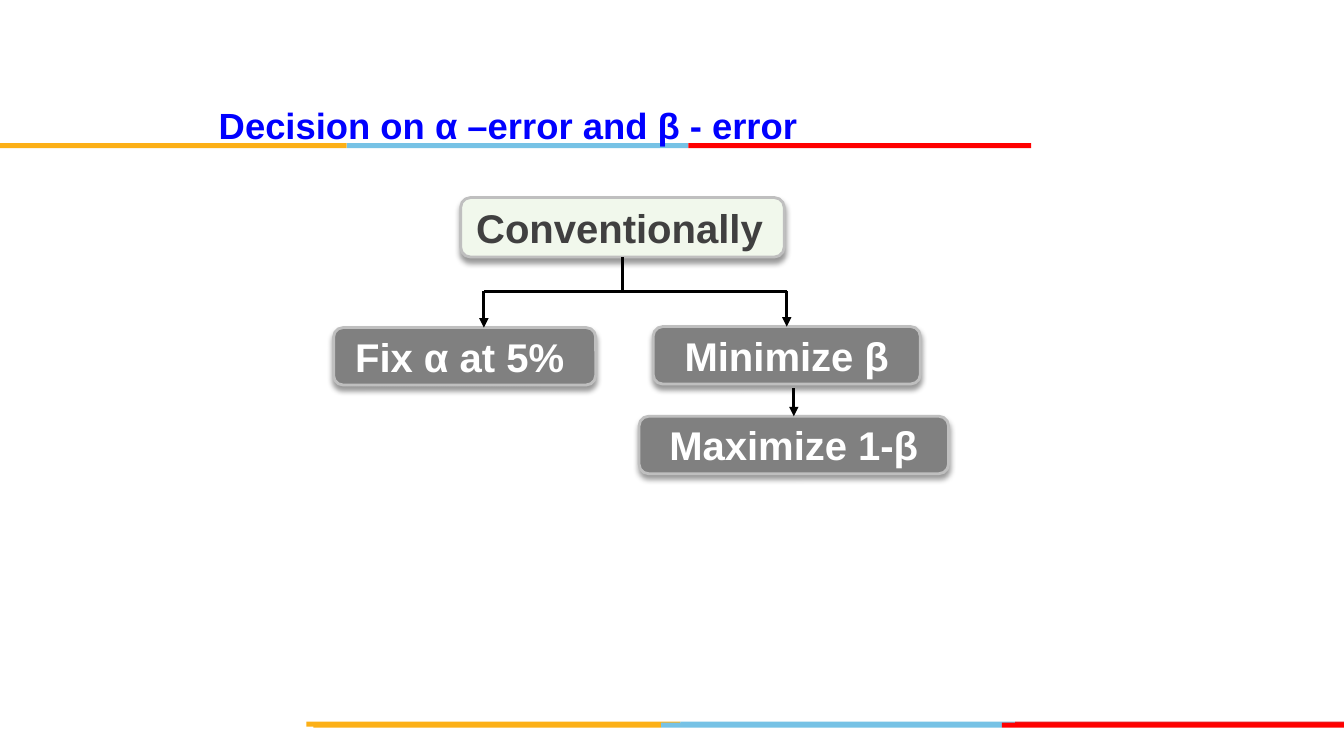
from lxml import etree
from pptx import Presentation
from pptx import util as u
from pptx.dml.color import RGBColor
from pptx.enum import shapes, text
from pptx.oxml import parse_xml
from pptx.oxml.ns import nsdecls, qn

COLORS = {
    "orange": "FCB017", "sky": "76C2E5", "red": "FF0000", "dark_red": "E31C24",
    "title": "0000FF", "pale": "F1F8EC", "gray": "808080", "border": "BFBFBF",
    "dark_text": "404040", "white": "FFFFFF", "black": "000000",
}
COLS, ROWS = 133.33, 75  # grid cells of a tenth of an inch
BOTTOM, TOP = 2, 0  # connection sites


def grid(n):
    return u.Inches(n / 10)


def rgb(name):
    return RGBColor.from_string(COLORS[name])


def write(tf, content, size, color, align=text.PP_ALIGN.CENTER):
    tf.word_wrap = True
    tf.auto_size = text.MSO_AUTO_SIZE.NONE
    tf.vertical_anchor = text.MSO_ANCHOR.MIDDLE
    p = tf.paragraphs[0]
    p.alignment = align
    r = p.add_run()
    r.text = content
    r.font.name, r.font.size, r.font.bold = "Arial", u.Pt(size), True
    r.font.color.rgb = rgb(color)


def add_stripe(s, top, edges, colors):
    """Draw one row of bars, each reaching from one edge to the next."""
    for left, right, color in zip(edges, edges[1:], colors):
        sp = s.shapes.add_shape(shapes.MSO_SHAPE.RECTANGLE, grid(left), grid(top),
                                grid(right - left), grid(0.5))
        sp.shadow.inherit = False
        sp.fill.solid()
        sp.fill.fore_color.rgb = rgb(color)
        sp.line.fill.background()


def add_title(s, content):
    title = s.shapes.title
    title.left, title.top = grid(20.7), grid(9.9)
    title.width, title.height = grid(90), grid(4.9)
    write(title.text_frame, content, 26, "title", text.PP_ALIGN.LEFT)
    title.element.getparent().append(title.element)  # in front of the stripes


def add_soft_shadow(sp):
    sp.shadow.inherit = False
    props = sp.element.spPr
    props.remove(props.find(qn("a:effectLst")))
    props.append(parse_xml(
        f'<a:effectLst {nsdecls("a")}>'
        f'<a:outerShdw blurRad="{u.Pt(4)}" dist="{u.Pt(3)}" dir="5400000" rotWithShape="0">'
        f'<a:srgbClr val="{COLORS["black"]}"><a:alpha val="40000"/></a:srgbClr>'
        '</a:outerShdw></a:effectLst>'))


def add_box(s, content, left, top, width, height=5.7, fill="gray", color="white", shift=0):
    """Draw a rounded box; shift moves its text to the left."""
    sp = s.shapes.add_shape(shapes.MSO_SHAPE.ROUNDED_RECTANGLE, grid(left), grid(top),
                            grid(width), grid(height))
    sp.fill.solid()
    sp.fill.fore_color.rgb = rgb(fill)
    sp.line.color.rgb = rgb("border")
    sp.line.width = u.Pt(2)
    add_soft_shadow(sp)
    tf = sp.text_frame
    tf.margin_left = tf.margin_top = tf.margin_bottom = 0
    tf.margin_right = grid(2 * shift)
    write(tf, content, 28.6, color)
    return sp


def center_x(sp):
    return sp.left + sp.width // 2


def add_line(s, x1, y1, x2, y2, arrow=False):
    line = s.shapes.add_connector(shapes.MSO_CONNECTOR.STRAIGHT, x1, y1, x2, y2)
    line.line.color.rgb = rgb("black")
    line.line.width = u.Pt(2.25)
    if arrow:
        etree.SubElement(line.line._get_or_add_ln(), qn("a:tailEnd"), type="triangle")
    etree.SubElement(line.element.spPr, qn("a:effectLst"))
    return line


def main():
    prs = Presentation()
    prs.slide_width, prs.slide_height = grid(COLS), grid(ROWS)
    s = prs.slides.add_slide(prs.slide_layouts[5])

    add_stripe(s, 71.6, (30.4, 67.5, 100.7, COLS), ("orange", "sky", "dark_red"))
    add_stripe(s, 71.7, (31.1, 65.6, 99.4, COLS), ("orange", "sky", "red"))
    add_stripe(s, 14.2, (0, 34.4, 68.3, 102.3), ("orange", "sky", "red"))
    add_title(s, "Decision on α –error and β - error")

    root = add_box(s, "Conventionally", 45.7, 19.6, 32.1, 5.9, "pale", "dark_text", shift=0.3)
    fix = add_box(s, "Fix α at 5%", 33.1, 32.5, 26, shift=0.5)
    minimize = add_box(s, "Minimize β", 64.8, 32.4, 26.5)
    maximize = add_box(s, "Maximize 1-β", 63.4, 41.3, 30.7)

    branch_y, fix_x = grid(28.9), grid(48)
    root_x, min_x, max_x = map(center_x, (root, minimize, maximize))
    stem = add_line(s, root_x, root.top + root.height, root_x, branch_y)
    stem.begin_connect(root, BOTTOM)
    add_line(s, fix_x, branch_y, min_x, branch_y)
    add_line(s, fix_x, branch_y, fix_x, fix.top, arrow=True)
    to_min = add_line(s, min_x, branch_y, min_x, minimize.top, arrow=True)
    to_min.end_connect(minimize, TOP)
    to_max = add_line(s, max_x, grid(38.5), max_x, maximize.top, arrow=True)
    to_max.end_connect(maximize, TOP)

    prs.save("out.pptx")


if __name__ == "__main__":
    main()
